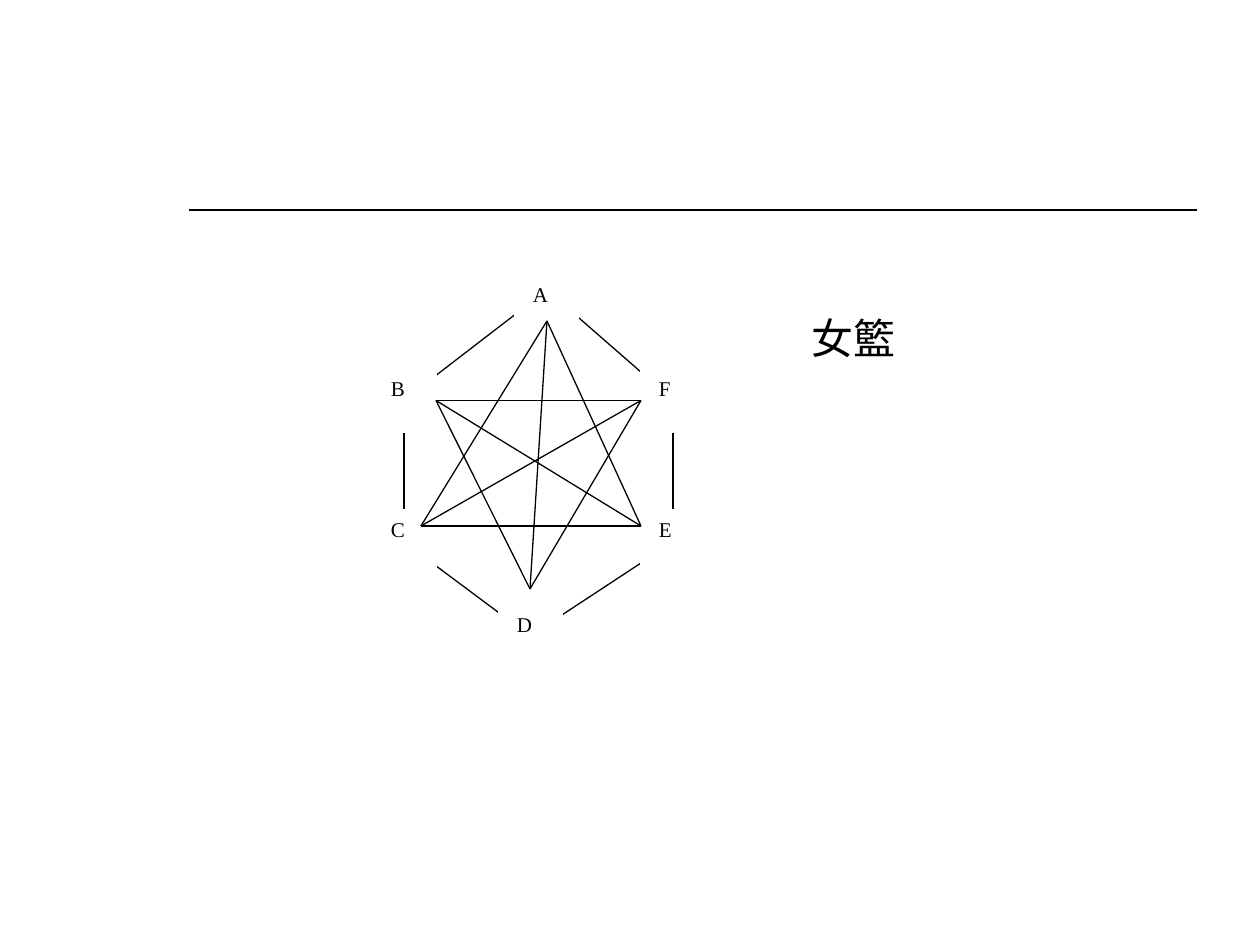
import itertools
from dataclasses import dataclass

import pptx
import pptx.dml.color
import pptx.enum.shapes
import pptx.enum.text
import pptx.oxml.ns
import pptx.slide
import pptx.util
from lxml import etree

PX = pptx.util.Inches(1) / 126
BOX = 63


@dataclass(frozen=True)
class Theme:
    ink: pptx.dml.color.RGBColor = pptx.dml.color.RGBColor(0, 0, 0)
    paper: pptx.dml.color.RGBColor = pptx.dml.color.RGBColor(255, 255, 255)
    font: str = "Times New Roman"
    label_size: int = 12
    heading_size: int = 24
    thin: float = 0.75
    rule: float = 1


@dataclass(frozen=True)
class Team:
    name: str
    left: int
    top: int
    outer: tuple[int, int]  # end of the hexagon's sides
    inner: tuple[int, int]  # end of the diagonals
    site: int | None = None  # side of the box that the diagonals join


THEME = Theme()

# In order around the hexagon
TEAMS = [
    Team("A", 515, 275, (547, 290), (547, 321)),
    Team("B", 373, 369, (404, 400), (436, 400), 3),
    Team("C", 373, 510, (404, 542), (421, 526)),
    Team("D", 499, 605, (530, 636), (530, 589)),
    Team("E", 641, 510, (673, 542), (641, 526)),
    Team("F", 641, 369, (673, 400), (641, 400), 1),
]


def emu(length: float) -> int:
    return round(length * PX)


def add_line(slide: pptx.slide.Slide, start: tuple[int, int],
             end: tuple[int, int], width: float = THEME.thin):
    line = slide.shapes.add_connector(
        pptx.enum.shapes.MSO_CONNECTOR.STRAIGHT, *map(emu, start + end))
    line.line.color.rgb = THEME.ink
    line.line.width = pptx.util.Pt(width)
    etree.SubElement(line._element.spPr, pptx.oxml.ns.qn("a:effectLst"))
    return line


def add_box(slide: pptx.slide.Slide, area: tuple[int, int, int, int],
            text: str, size: int, inset: int):
    box = slide.shapes.add_shape(
        pptx.enum.shapes.MSO_SHAPE.RECTANGLE, *map(emu, area))
    box.shadow.inherit = False
    box.fill.solid()
    box.fill.fore_color.rgb = THEME.paper
    box.line.color.rgb = THEME.paper
    box.line.width = pptx.util.Pt(THEME.thin)

    frame = box.text_frame
    frame_format = {
        "word_wrap": True,
        "vertical_anchor": pptx.enum.text.MSO_ANCHOR.TOP,
        "margin_left": emu(inset),
    }
    for name, value in frame_format.items():
        setattr(frame, name, value)

    paragraph = frame.paragraphs[0]
    paragraph.text = text
    paragraph.alignment = pptx.enum.text.PP_ALIGN.LEFT
    font_format = {"name": THEME.font, "size": pptx.util.Pt(size)}
    for run in paragraph.runs:
        for name, value in font_format.items():
            setattr(run.font, name, value)
        run.font.color.rgb = THEME.ink
    return box


def add_round_robin(slide: pptx.slide.Slide) -> None:
    # Sides of the hexagon, partly covered by the boxes
    for team, neighbour in zip(TEAMS, TEAMS[1:] + TEAMS[:1]):
        add_line(slide, team.outer, neighbour.outer)

    boxes = {
        team.name: add_box(slide, (team.left, team.top, BOX, BOX),
                           team.name, THEME.label_size, 18)
        for team in TEAMS
    }

    # Diagonals between teams that are not neighbours
    for (i, first), (j, second) in itertools.combinations(enumerate(TEAMS), 2):
        if j - i in (1, len(TEAMS) - 1):
            continue
        line = add_line(slide, first.inner, second.inner)
        if first.site is not None:
            line.begin_connect(boxes[first.name], first.site)
        if second.site is not None:
            line.end_connect(boxes[second.name], second.site)


def main() -> None:
    presentation = pptx.Presentation()
    presentation.slide_width = emu(1260)
    presentation.slide_height = emu(945)
    slide = presentation.slides.add_slide(presentation.slide_layouts[6])

    # Rule below the heading area
    add_line(slide, (189, 210), (1197, 210), THEME.rule)

    # Match diagram and its caption
    add_round_robin(slide)
    add_box(slide, (799, 306, 141, 267), "女籃", THEME.heading_size, 13)

    presentation.save("out.pptx")


if __name__ == "__main__":
    main()
